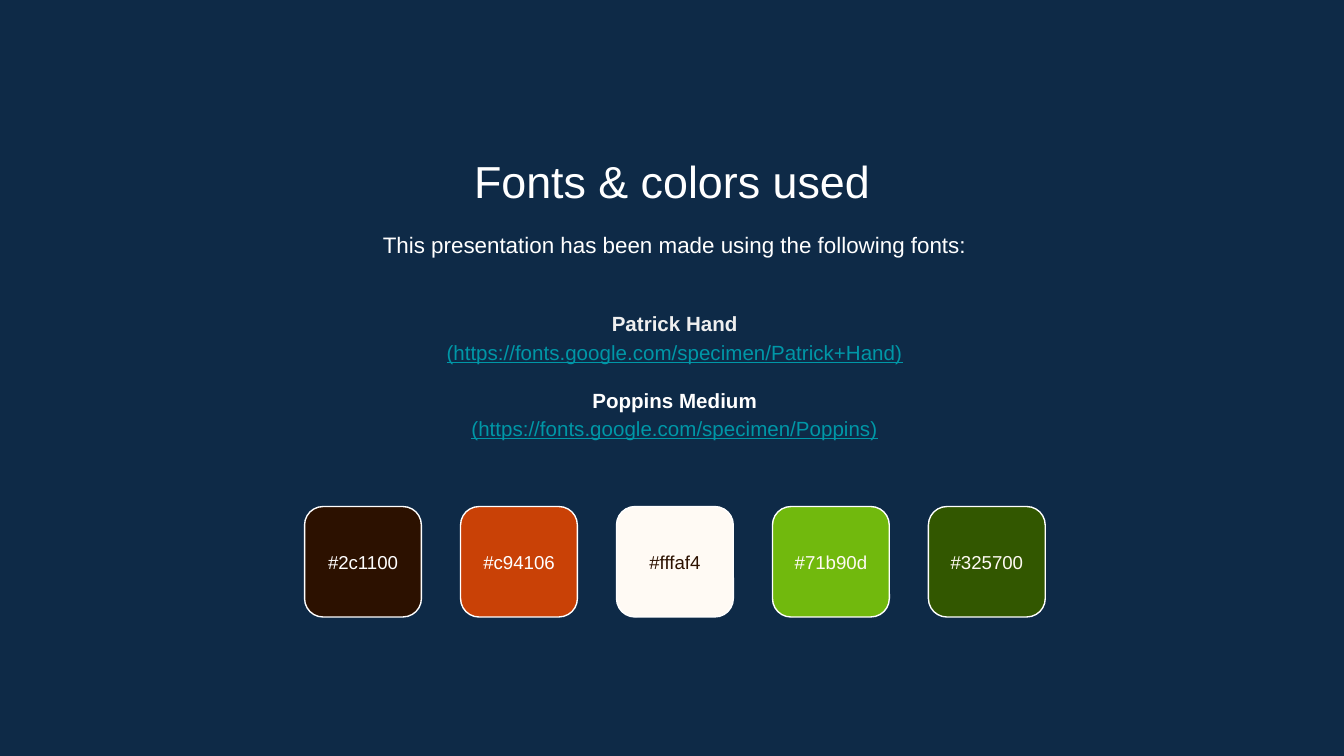
from dataclasses import dataclass

import pptx
import pptx.dml.color
import pptx.enum.shapes
import pptx.enum.text
import pptx.util

Pt = pptx.util.Pt
ALIGN = pptx.enum.text.PP_ALIGN
ANCHOR = pptx.enum.text.MSO_ANCHOR


@dataclass(frozen=True)
class Theme:
    """Colours, font and type sizes of the deck."""
    font: str = "Arial"
    background: str = "0E2A47"
    white: str = "FFFFFF"
    soft_white: str = "EFEFEF"
    cream: str = "FFFAF4"
    brown: str = "2C1100"
    orange: str = "C94106"
    lime: str = "71B90D"
    forest: str = "325700"
    link: str = "0097A7"
    title_size: float = 24
    intro_size: float = 12
    font_size: float = 11
    swatch_size: float = 10
    spacing: float = 1.15


THEME = Theme()
FONTS = [
    ("Patrick Hand", "(https://fonts.google.com/specimen/Patrick+Hand)", THEME.soft_white),
    ("Poppins Medium", "(https://fonts.google.com/specimen/Poppins)", THEME.white),
]
SWATCHES = [
    (THEME.brown, THEME.white),
    (THEME.orange, THEME.white),
    (THEME.cream, THEME.brown),
    (THEME.lime, THEME.cream),
    (THEME.forest, THEME.cream),
]


def rgb(value):
    """Return a colour from its hex value."""
    return pptx.dml.color.RGBColor.from_string(value)


def prepare_frame(shape, anchor=ANCHOR.TOP):
    """Set wrapping, anchor and margins, and return the text frame."""
    frame = shape.text_frame
    frame.word_wrap = True
    frame.vertical_anchor = anchor
    frame.margin_left = frame.margin_right = Pt(7.2)
    frame.margin_top = frame.margin_bottom = Pt(7.2)
    return frame


def add_text(frame, text, *, size, color=THEME.white, bold=False,
             underline=False, spacing=1.0, before=0):
    """Write one centred paragraph, using the empty first one if it is free."""
    para = frame.paragraphs[0]
    if para.runs:
        para = frame.add_paragraph()
    para.alignment = ALIGN.CENTER
    para.line_spacing = spacing
    para.space_before = Pt(before)
    span = para.add_run()
    span.text = text
    span.font.name = THEME.font
    span.font.size = Pt(size)
    span.font.bold = bold
    span.font.underline = underline
    span.font.color.rgb = rgb(color)


def add_line_box(page, box, text, **text_format):
    """Place a text box with a single paragraph."""
    shape = page.shapes.add_textbox(*map(Pt, box))
    add_text(prepare_frame(shape), text, **text_format)


def add_font_list(page, box, fonts):
    """Place the font names, each above its address."""
    frame = prepare_frame(page.shapes.add_textbox(*map(Pt, box)), ANCHOR.MIDDLE)
    for index, (name, address, color) in enumerate(fonts):
        add_text(frame, name, size=THEME.font_size, color=color, bold=True,
                 spacing=THEME.spacing, before=10.6 if index else 0)
        add_text(frame, address, size=THEME.font_size, color=THEME.link,
                 underline=True, spacing=THEME.spacing)


def add_swatches(page, box, swatches, width=62.6):
    """Spread labelled colour swatches evenly across the box."""
    left, top, total, height = box
    step = (total - width) / (len(swatches) - 1)
    for index, (fill, ink) in enumerate(swatches):
        swatch = page.shapes.add_shape(
            pptx.enum.shapes.MSO_SHAPE.ROUNDED_RECTANGLE,
            Pt(left + index * step), Pt(top), Pt(width), Pt(height))
        swatch.shadow.inherit = False
        swatch.fill.solid()
        swatch.fill.fore_color.rgb = rgb(fill)
        swatch.line.color.rgb = rgb(THEME.white)
        swatch.line.width = Pt(0.75)
        frame = prepare_frame(swatch, ANCHOR.MIDDLE)
        add_text(frame, f"#{fill.lower()}", size=THEME.swatch_size, color=ink)


def build_fonts_page(deck):
    """Add the page listing the fonts and colours."""
    page = deck.slides.add_slide(deck.slide_layouts[6])
    page.background.fill.solid()
    page.background.fill.fore_color.rgb = rgb(THEME.background)
    add_line_box(page, (82.5, 75, 555, 38), "Fonts & colors used",
                 size=THEME.title_size)
    add_line_box(page, (84, 114.5, 555, 34.5),
                 "This presentation has been made using the following fonts:",
                 size=THEME.intro_size, spacing=THEME.spacing)
    add_font_list(page, (84, 151.2, 555, 98.6), FONTS)
    add_swatches(page, (163.2, 271.4, 396.8, 59.2), SWATCHES)


def main():
    """Build and save the deck."""
    deck = pptx.Presentation()
    deck.slide_width = Pt(720)
    deck.slide_height = Pt(405)
    build_fonts_page(deck)
    deck.save("out.pptx")


if __name__ == "__main__":
    main()
